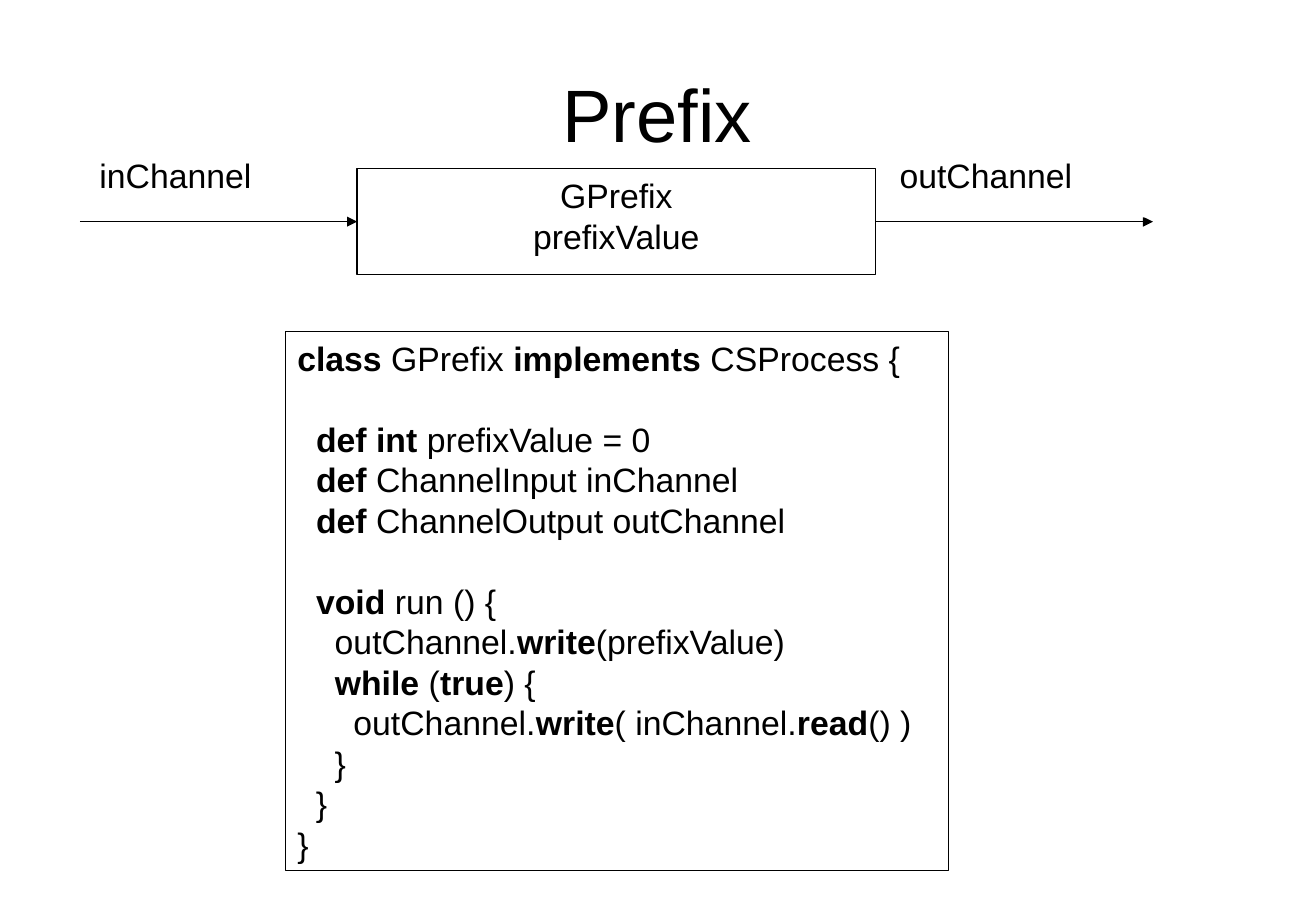
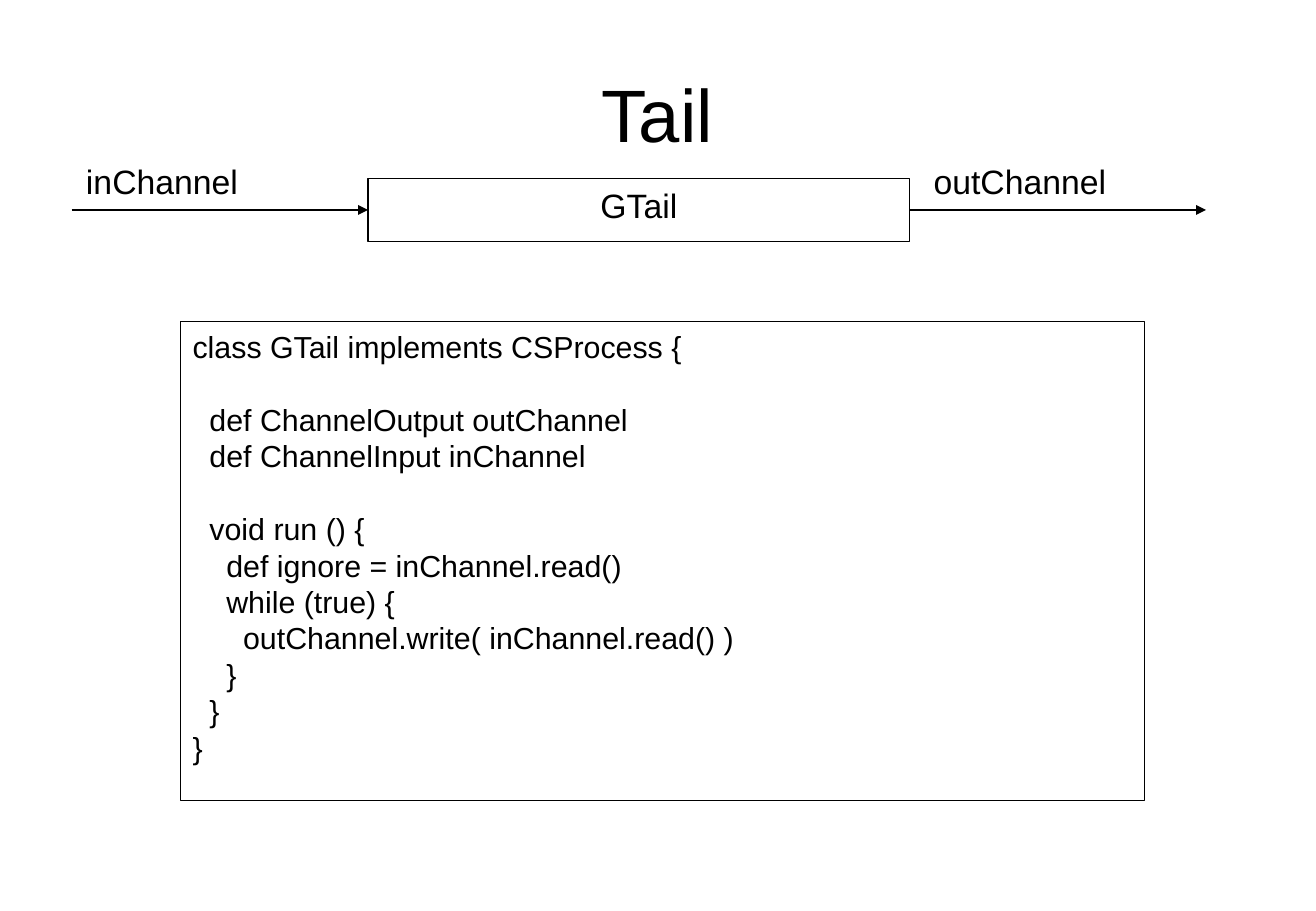
from dataclasses import dataclass

from lxml.etree import SubElement
from pptx import Presentation
from pptx.dml.color import RGBColor
from pptx.enum.shapes import MSO_CONNECTOR as Connector, MSO_SHAPE as Shape
from pptx.enum.text import MSO_ANCHOR as Anchor, PP_ALIGN as Align
from pptx.oxml.ns import qn
from pptx.util import Cm, Pt


@dataclass(frozen=True)
class Theme:
    """Colours, type and line sizes shared by the slides."""
    ink: RGBColor = RGBColor(0x00, 0x00, 0x00)
    paper: RGBColor = RGBColor(0xFF, 0xFF, 0xFF)
    font: str = "Arial"
    title_size: int = 44
    body_size: int = 20
    small_code_size: int = 18
    leading: float = 1.2
    rule: float = 0.75


@dataclass(frozen=True)
class Box:
    """A rectangle in centimetres."""
    left: float
    top: float
    width: float
    height: float

    @property
    def right(self):
        """Return the right edge."""
        return self.left + self.width

    @property
    def middle(self):
        """Return the height of the horizontal centre line."""
        return self.top + self.height / 2

    def lengths(self):
        """Return the four measures as lengths."""
        return [Cm(n) for n in (self.left, self.top, self.width, self.height)]


THEME = Theme()
TITLE_BOX = Box(1.37, 0.76, 24.77, 3.18)

PREFIX_CODE = """\
*class* GPrefix *implements* CSProcess {

  *def int* prefixValue = 0
  *def* ChannelInput inChannel
  *def* ChannelOutput outChannel

  *void* run () {
    outChannel.*write*(prefixValue)
    *while* (*true*) {
      outChannel.*write*( inChannel.*read*() )
    }
  }
}"""

TAIL_CODE = """\
class GTail implements CSProcess {

  def ChannelOutput outChannel
  def ChannelInput inChannel

  void run () {
    def ignore = inChannel.read()
    while (true) {
      outChannel.write( inChannel.read() )
    }
  }
}"""


def write_text(frame, text, size=THEME.body_size, align=Align.LEFT, anchor=Anchor.TOP):
    """Fill a frame; asterisks enclose bold words, an empty line adds a gap."""
    frame.word_wrap = True
    frame.vertical_anchor = anchor
    frame.margin_left = frame.margin_right = Cm(0.25)
    frame.margin_top = frame.margin_bottom = Cm(0.13)
    line_height = Pt(size * THEME.leading)
    paragraph, gap = frame.paragraphs[0], False
    for line in text.split("\n"):
        if not line:
            gap = True
            continue
        if paragraph.runs:
            paragraph = frame.add_paragraph()
        paragraph.alignment = align
        paragraph.line_spacing = line_height
        if gap:
            paragraph.space_before = line_height
        gap = False
        for index, words in enumerate(line.split("*")):
            if words:
                run = paragraph.add_run()
                run.text = words
                run.font.name = THEME.font
                run.font.size = Pt(size)
                run.font.bold = index % 2 == 1
                run.font.color.rgb = THEME.ink


def add_panel(slide, box, text, outlined=True, **text_format):
    """Add a white rectangle with text and return it."""
    panel = slide.shapes.add_shape(Shape.RECTANGLE, *box.lengths())
    panel.shadow.inherit = False
    panel.fill.solid()
    panel.fill.fore_color.rgb = THEME.paper
    if outlined:
        panel.line.color.rgb = THEME.ink
        panel.line.width = Pt(THEME.rule)
    else:
        panel.line.fill.background()
    write_text(panel.text_frame, text, **text_format)
    return panel


def add_arrow(slide, start, end, height):
    """Add a horizontal arrow and return it."""
    arrow = slide.shapes.add_connector(
        Connector.STRAIGHT, Cm(start), Cm(height), Cm(end), Cm(height))
    arrow.line.color.rgb = THEME.ink
    arrow.line.width = Pt(THEME.rule)
    SubElement(arrow.line._get_or_add_ln(), qn("a:tailEnd"), type="triangle")
    SubElement(arrow._element.spPr, qn("a:effectLst"))
    return arrow


def add_title(slide, box, text):
    """Add the centred slide title."""
    title = slide.shapes.add_textbox(*box.lengths())
    write_text(title.text_frame, text, size=THEME.title_size,
               align=Align.CENTER, anchor=Anchor.MIDDLE)


def add_process(slide, box, text, reach, label_rise, label_height, in_indent):
    """Add a process box with its input and output channels."""
    process = add_panel(slide, box, text, align=Align.CENTER)
    source, target = box.left - reach, box.right + reach
    add_arrow(slide, source, box.left, box.middle).end_connect(process, 1)
    add_arrow(slide, box.right, target, box.middle).begin_connect(process, 3)
    label_top = box.top - label_rise
    for left, width, name in ((source + in_indent, 5.3, "inChannel"),
                              (box.right + 0.25, 5.7, "outChannel")):
        add_panel(slide, Box(left, label_top, width, label_height), name, outlined=False)


def add_process_slide(deck, title, process, code, code_box, code_size, **channels):
    """Add a slide with a title, a process diagram and its code."""
    slide = deck.slides.add_slide(deck.slide_layouts[6])
    process_box, process_text = process
    add_title(slide, TITLE_BOX, title)
    add_process(slide, process_box, process_text, **channels)
    add_panel(slide, code_box, code, size=code_size)


def main():
    """Build and save the deck."""
    deck = Presentation()
    deck.slide_width, deck.slide_height = Cm(27.53), Cm(19.05)
    add_process_slide(
        deck, "Prefix", (Box(7.47, 3.53, 10.85, 2.21), "GPrefix\nprefixValue"),
        PREFIX_CODE, Box(5.97, 6.93, 13.87, 11.28), THEME.body_size,
        reach=5.8, label_rise=0.43, label_height=1.45, in_indent=0.16)
    add_process_slide(
        deck, "Tail", (Box(7.7, 3.73, 11.33, 1.32), "GTail"),
        TAIL_CODE, Box(3.78, 6.73, 20.17, 10.01), THEME.small_code_size,
        reach=6.2, label_rise=0.5, label_height=1.08, in_indent=0.05)
    deck.save("out.pptx")


if __name__ == "__main__":
    main()
